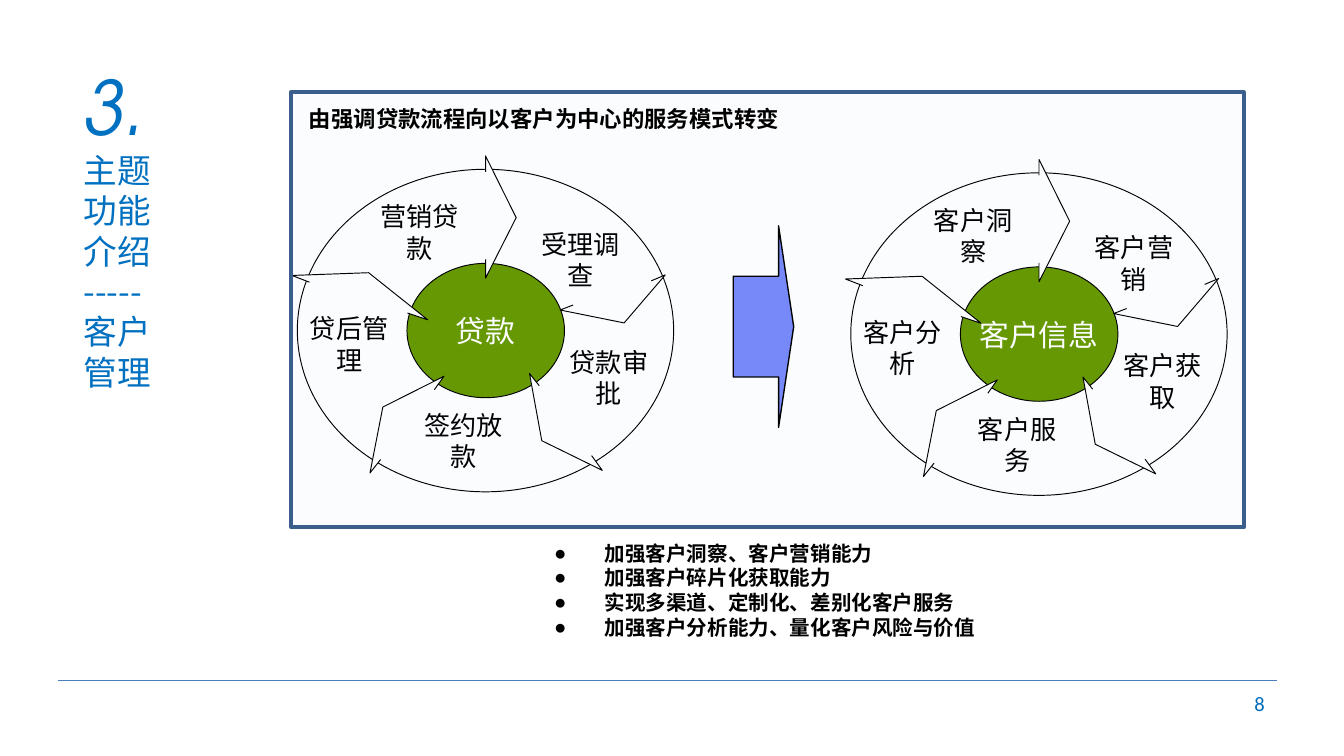
from copy import deepcopy
from itertools import pairwise
from math import cos, radians, sin, tan

from lxml.etree import SubElement
from pptx import Presentation
from pptx.dml.color import RGBColor
from pptx.enum.lang import MSO_LANGUAGE_ID
from pptx.enum.shapes import MSO_CONNECTOR, MSO_SHAPE
from pptx.enum.text import MSO_ANCHOR, MSO_AUTO_SIZE, PP_ALIGN
from pptx.oxml.ns import qn
from pptx.util import Pt

# Content
TITLE_NUMBER = "3."
TITLE_LINES = ["主题", "功能", "介绍", "-----", "客户", "管理"]
HEADING = "由强调贷款流程向以客户为中心的服务模式转变"
BULLETS = [
    "加强客户洞察、客户营销能力",
    "加强客户碎片化获取能力",
    "实现多渠道、定制化、差别化客户服务",
    "加强客户分析能力、量化客户风险与价值",
]
PAGE_NUMBER = "8"
WHEELS = [
    {"center": (260.1, 177.1), "hub": "贷款",
     "steps": ["受理调查", "贷款审批", "签约放款", "贷后管理", "营销贷款"]},
    {"center": (556.6, 179), "hub": "客户信息",
     "steps": ["客户营销", "客户获取", "客户服务", "客户分析", "客户洞察"]},
]

# Wheel geometry in points, measured from the wheel's center
RADIUS_X, RADIUS_Y = 100.8, 86.4
HUB_SIZE = (84.4, 72)
SECTOR_ANGLES = [(-90, -18), (-18, 0, 54), (54, 90, 126), (126, 180, 198), (198, 270)]
STEP_OFFSETS = [(50.9, -38), (66.2, 25.2), (-11.7, 59), (-73, 7.2), (-35.2, -52.7)]
CHEVRONS = [
    [(47, -13.7), (40, -11), (74.3, -4.1), (96.3, -29.8), (88.8, -26.6)],
    [(28.8, 29.5), (23.6, 23), (30.2, 59), (62.6, 74.9), (56.9, 67)],
    [(-27.4, 31.7), (-22.3, 24.5), (-55, 41), (-61.9, 76.3), (-56.2, 69.1)],
    [(-94.3, -25.9), (-103.7, -29.5), (-62.6, -31), (-31, -5.8), (-41.8, -9.4)],
    [(0, -85), (0, -93.6), (16.4, -60.5), (0, -28.1), (0, -38.2)],
]

# Colours
BLACK = RGBColor(0x00, 0x00, 0x00)
WHITE = RGBColor(0xFF, 0xFF, 0xFF)
TITLE_BLUE = RGBColor(0x00, 0x70, 0xC0)
NUMBER_BLUE = RGBColor(0x00, 0x6D, 0xBB)
RULE_BLUE = RGBColor(0x4B, 0x7E, 0xBC)
HUB_GREEN = RGBColor(0x66, 0x99, 0x00)
ARROW_BLUE = RGBColor(0x78, 0x89, 0xFB)
PANEL_BLUE = RGBColor(0x4F, 0x81, 0xBD)
PANEL_EDGE = RGBColor(0x3A, 0x5F, 0x8C)

# Text formats
NUMERAL = {"name": "TeX Gyre Adventor", "size": Pt(40), "italic": True, "color": TITLE_BLUE}
TITLE = {"name": "Noto Sans CJK SC", "size": Pt(18), "italic": False, "color": TITLE_BLUE}
BULLET = {"name": "DejaVu Sans", "size": Pt(11), "bold": True, "color": BLACK}
HEAD = {"name": "Calibri", "size": Pt(12), "bold": True, "color": BLACK}
STEP = {"name": "Calibri", "size": Pt(14), "color": BLACK}
HUB = {"name": "Calibri", "size": Pt(16), "color": WHITE}
FOLIO = {"name": "Calibri", "size": Pt(11), "color": NUMBER_BLUE}


def place(shape, left, top, width, height):
    shape.left, shape.top = Pt(left), Pt(top)
    shape.width, shape.height = Pt(width), Pt(height)


def set_frame(frame, anchor, insets):
    frame.word_wrap = True
    frame.auto_size = MSO_AUTO_SIZE.NONE
    frame.vertical_anchor = anchor
    for side, inset in zip(("left", "top", "right", "bottom"), insets):
        setattr(frame, f"margin_{side}", Pt(inset))


def write(para, lines, style, align=PP_ALIGN.LEFT):
    para.alignment = align
    para.space_before = Pt(0)
    para.line_spacing = Pt(round(style["size"].pt * 1.2, 1))
    for index, line in enumerate(lines):
        if index:
            para.add_line_break()
        span = para.add_run()
        span.text = line
        span.font.language_id = MSO_LANGUAGE_ID.SIMPLIFIED_CHINESE
        for key, value in style.items():
            if key == "color":
                span.font.color.rgb = value
            else:
                setattr(span.font, key, value)


def add_label(page, text, bounds, style, align, insets=(0, 0, 0, 0)):
    box = page.shapes.add_textbox(*map(Pt, bounds))
    set_frame(box.text_frame, MSO_ANCHOR.MIDDLE, insets)
    write(box.text_frame.paragraphs[0], [text], style, align)


def paint(shape, fill, line, weight):
    shape.shadow.inherit = False
    shape.fill.solid()
    shape.fill.fore_color.rgb = fill
    shape.line.color.rgb = line
    shape.line.width = Pt(weight)


def add_outline(page, center, points, close):
    start, *rest = [(Pt(center[0] + x), Pt(center[1] + y)) for x, y in points]
    builder = page.shapes.build_freeform(*start)
    builder.add_line_segments(rest, close=close)
    shape = builder.convert_to_shape()
    paint(shape, WHITE, BLACK, 0.5)
    return shape


def rim_point(angle, pull=0):
    """Point on the rim, moved along the tangent by pull."""
    return (RADIUS_X * (cos(angle) - pull * sin(angle)),
            RADIUS_Y * (sin(angle) + pull * cos(angle)))


def add_sector(page, center, angles):
    points = [rim_point(radians(angles[0]))]
    for first, last in pairwise(map(radians, angles)):
        pull = 4 / 3 * tan((last - first) / 4)
        points += [rim_point(first, pull), rim_point(last, -pull), rim_point(last)]
    shape = add_outline(page, center, points + [(0, 0)], close=True)
    wedge = next(shape._element.iter(qn("a:path")))
    # Join each three rim segments into one curve
    segments = wedge.findall(qn("a:lnTo"))[:-1]
    for index in range(0, len(segments), 3):
        curve = wedge.makeelement(qn("a:cubicBezTo"))
        segments[index].addprevious(curve)
        for segment in segments[index:index + 3]:
            curve.append(segment[0])
            wedge.remove(segment)
    # Stroke only the rim: an unfilled curve and a filled wedge
    rim = deepcopy(wedge)
    for segment in list(rim)[-2:]:
        rim.remove(segment)
    rim.set("fill", "none")
    wedge.set("stroke", "0")
    wedge.addprevious(rim)


def centered(center, offset, size):
    return (center[0] + offset[0] - size[0] / 2,
            center[1] + offset[1] - size[1] / 2, *size)


def add_wheel(page, wheel):
    center = wheel["center"]
    for angles in SECTOR_ANGLES:
        add_sector(page, center, angles)
    hub = page.shapes.add_shape(MSO_SHAPE.OVAL, *map(Pt, centered(center, (0.1, 0), HUB_SIZE)))
    paint(hub, HUB_GREEN, BLACK, 0.5)
    add_label(page, wheel["hub"], centered(center, (0, 0), (67, 13)), HUB, PP_ALIGN.CENTER)
    for points in CHEVRONS:
        add_outline(page, center, points, close=False)
    for text, offset in zip(wheel["steps"], STEP_OFFSETS):
        add_label(page, text, centered(center, offset, (47, 12)), STEP, PP_ALIGN.CENTER)


deck = Presentation()
deck.slide_width, deck.slide_height = Pt(720), Pt(405)
page = deck.slides.add_slide(deck.slide_layouts[1])

# Footer rule and page number
rule = page.shapes.add_connector(MSO_CONNECTOR.STRAIGHT, Pt(31), Pt(364.6), Pt(684), Pt(364.6))
rule.line.color.rgb = RULE_BLUE
rule.line.width = Pt(0.75)
SubElement(rule._element.spPr, qn("a:effectLst"))
add_label(page, PAGE_NUMBER, (516, 366, 168, 21.6), FOLIO, PP_ALIGN.RIGHT, (6.5, 3, 6.5, 3))

# Title
title = page.shapes.title
place(title, 37.6, 28.8, 71.3, 158.4)
set_frame(title.text_frame, MSO_ANCHOR.TOP, (7.2, 3.6, 7.2, 3.6))
write(title.text_frame.paragraphs[0], [TITLE_NUMBER], NUMERAL)
write(title.text_frame.add_paragraph(), TITLE_LINES, TITLE)

# Bullet list
body = page.placeholders[1]
place(body, 296.9, 279.8, 250.6, 66.4)
set_frame(body.text_frame, MSO_ANCHOR.BOTTOM, (0, 3.6, 0, 3.6))
for index, text in enumerate(BULLETS):
    para = body.text_frame.add_paragraph() if index else body.text_frame.paragraphs[0]
    write(para, [text], BULLET)
    properties = para._p.get_or_add_pPr()
    properties.set("marL", str(Pt(27)))
    properties.set("indent", str(Pt(-27)))
    SubElement(properties, qn("a:buChar")).set("char", "●")

# Wheels and the arrow between them
for wheel in WHEELS:
    add_wheel(page, wheel)
arrow = page.shapes.add_shape(MSO_SHAPE.RIGHT_ARROW, Pt(392.8), Pt(121), Pt(32.4), Pt(108))
arrow.adjustments[0], arrow.adjustments[1] = 0.5, 0.25
paint(arrow, ARROW_BLUE, BLACK, 0.75)

# Tinted panel with its heading
panel = page.shapes.add_shape(MSO_SHAPE.RECTANGLE, Pt(155.9), Pt(49.4), Pt(510.5), Pt(233.1))
paint(panel, PANEL_BLUE, PANEL_EDGE, 2)
tint = panel._element.spPr.find(qn("a:solidFill")).find(qn("a:srgbClr"))
SubElement(tint, qn("a:alpha")).set("val", "2000")
add_label(page, HEADING, (158.4, 52.6, 267, 21.6), HEAD, PP_ALIGN.LEFT, (7.2, 3.6, 7.2, 3.6))

deck.save("out.pptx")
